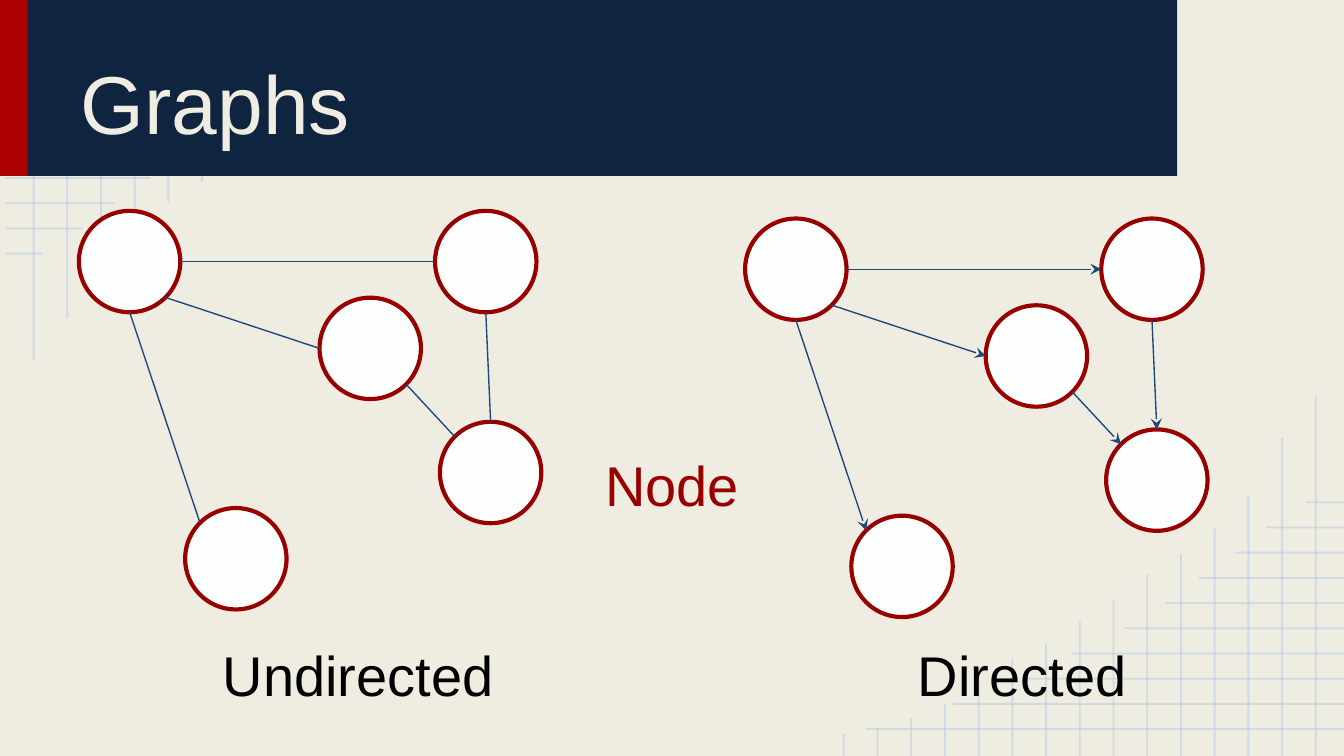
"""Build the slide that compares an undirected with a directed graph."""
import math

import lxml.etree
import pptx
import pptx.dml.color
import pptx.enum.shapes
import pptx.enum.text
import pptx.oxml.ns
import pptx.util

Pt = pptx.util.Pt
qn = pptx.oxml.ns.qn
KIND = pptx.enum.shapes.MSO_SHAPE
TEXT = pptx.enum.text

HEX = {"paper": "EFEDE2", "grid": "B7CCE4", "red": "AB0101", "navy": "0F243E",
       "node": "FDFFFF", "ring": "980000", "edge": "1F497D", "ink": "000000"}
WIDE, HIGH = 720, 405
BAND = 94.3
BARS = [("red", 0, 15), ("navy", 15, 615.6)]
ROWS = [258.5, 212.4, 173.5, 149, 120.2, 98.6, 80.6, 61.2, 44.6, 23]
COLS = [193, 170.5, 139.4, 121.8, 108.4, 97.4, 83.2, 72.2,
        60.5, 52, 40.3, 27.7, 20.2, 14.3, 11.8]
TITLE = ("Graphs", (36, 7.9, 576, 79.9))
LABELS = [
    ("Undirected", "ink", (31.7, 336.2, 320.4, 61.2)),
    ("Directed", "ink", (387.4, 336.2, 320.4, 61.2)),
    ("Node", "ring", (291.6, 234, 136.8, 61.2)),
]
SIZE = 54.3
NODES = {"a": (42.3, 113), "b": (233.1, 113), "c": (99.2, 272.2),
         "d": (171.2, 159.5), "e": (235.7, 226)}
EDGES = [("a", 0, "b", 180), ("a", 90, "c", 225), ("a", 45, "d", 180),
         ("b", 90, "e", 270), ("d", 45, "e", 225)]
GRAPHS = [(0, 0, False), (356.9, 4.1, True)]
FRAME = {"margin_left": Pt(7.2), "margin_right": Pt(7.2), "margin_top": Pt(7.2),
         "margin_bottom": Pt(7.2), "word_wrap": True,
         "auto_size": TEXT.MSO_AUTO_SIZE.NONE}


def tint(name):
    return pptx.dml.color.RGBColor.from_string(HEX[name])


def style(item, form):
    for key, value in form.items():
        setattr(item, key, value)


def write(shape, text, size, name, align, anchor):
    frame = shape.text_frame
    style(frame, {**FRAME, "vertical_anchor": anchor})
    frame.text = text
    para = frame.paragraphs[0]
    para.alignment = align
    font = para.runs[0].font
    style(font, {"name": "Arial", "size": Pt(size)})
    font.color.rgb = tint(name)


def shape(slide, kind, box, fill, ring=None):
    item = slide.shapes.add_shape(kind, *map(Pt, box))
    item.shadow.inherit = False
    item.fill.solid()
    item.fill.fore_color.rgb = tint(fill)
    if ring:
        item.line.color.rgb = tint(ring)
        item.line.width = Pt(2.25)
    else:
        item.line.fill.background()


def line(slide, start, end, name, width, alpha=None, arrow=False):
    item = slide.shapes.add_connector(
        pptx.enum.shapes.MSO_CONNECTOR.STRAIGHT, *map(Pt, (*start, *end)))
    item.line.color.rgb = tint(name)
    item.line.width = Pt(width)
    props = item.element.spPr
    stroke = props.find(qn("a:ln"))
    if alpha:
        shade = stroke.find(".//" + qn("a:srgbClr"))
        lxml.etree.SubElement(shade, qn("a:alpha")).set("val", str(alpha * 1000))
    if arrow:
        lxml.etree.SubElement(stroke, qn("a:tailEnd")).set("type", "stealth")
    lxml.etree.SubElement(props, qn("a:effectLst"))


def grid(slide):
    rows = [((2.9, 14.4 + 13.5 * i), (x, 14.4 + 13.5 * i)) for i, x in enumerate(ROWS)]
    cols = [((18 + 18.06 * i, 0), (18 + 18.06 * i, y)) for i, y in enumerate(COLS)]
    for start, end in rows + cols:
        if end[1] > BAND:
            line(slide, start, end, "grid", 1, 54)
        turned = [(WIDE + 2.9 - x, HIGH - y) for x, y in (start, end)]
        line(slide, *turned, "grid", 1, 54)


def rim(node, angle):
    turn = math.radians(angle)
    half = SIZE / 2
    x, y = NODES[node]
    return x + half + half * math.cos(turn), y + half + half * math.sin(turn)


def graph(slide, right, down, arrow):
    for x, y in NODES.values():
        shape(slide, KIND.OVAL, (x + right, y + down, SIZE, SIZE), "node", "ring")
    for tail, out, head, into in EDGES:
        ends = [(x + right, y + down) for x, y in (rim(tail, out), rim(head, into))]
        line(slide, *ends, "edge", 0.75, arrow=arrow)


def main():
    deck = pptx.Presentation()
    style(deck, {"slide_width": Pt(WIDE), "slide_height": Pt(HIGH)})
    slide = deck.slides.add_slide(deck.slide_layouts[5])
    back = slide.background.fill
    back.solid()
    back.fore_color.rgb = tint("paper")
    grid(slide)
    for name, left, width in BARS:
        shape(slide, KIND.RECTANGLE, (left, 0, width, BAND), name)
    text, box = TITLE
    title = slide.shapes.title
    style(title, dict(zip(("left", "top", "width", "height"), map(Pt, box))))
    write(title, text, 44, "paper", TEXT.PP_ALIGN.LEFT, TEXT.MSO_ANCHOR.BOTTOM)
    title.element.getparent().append(title.element)
    for right, down, arrow in GRAPHS:
        graph(slide, right, down, arrow)
    for text, name, box in LABELS:
        label = slide.shapes.add_textbox(*map(Pt, box))
        write(label, text, 30, name, TEXT.PP_ALIGN.CENTER, TEXT.MSO_ANCHOR.TOP)
    deck.save("out.pptx")


if __name__ == "__main__":
    main()
